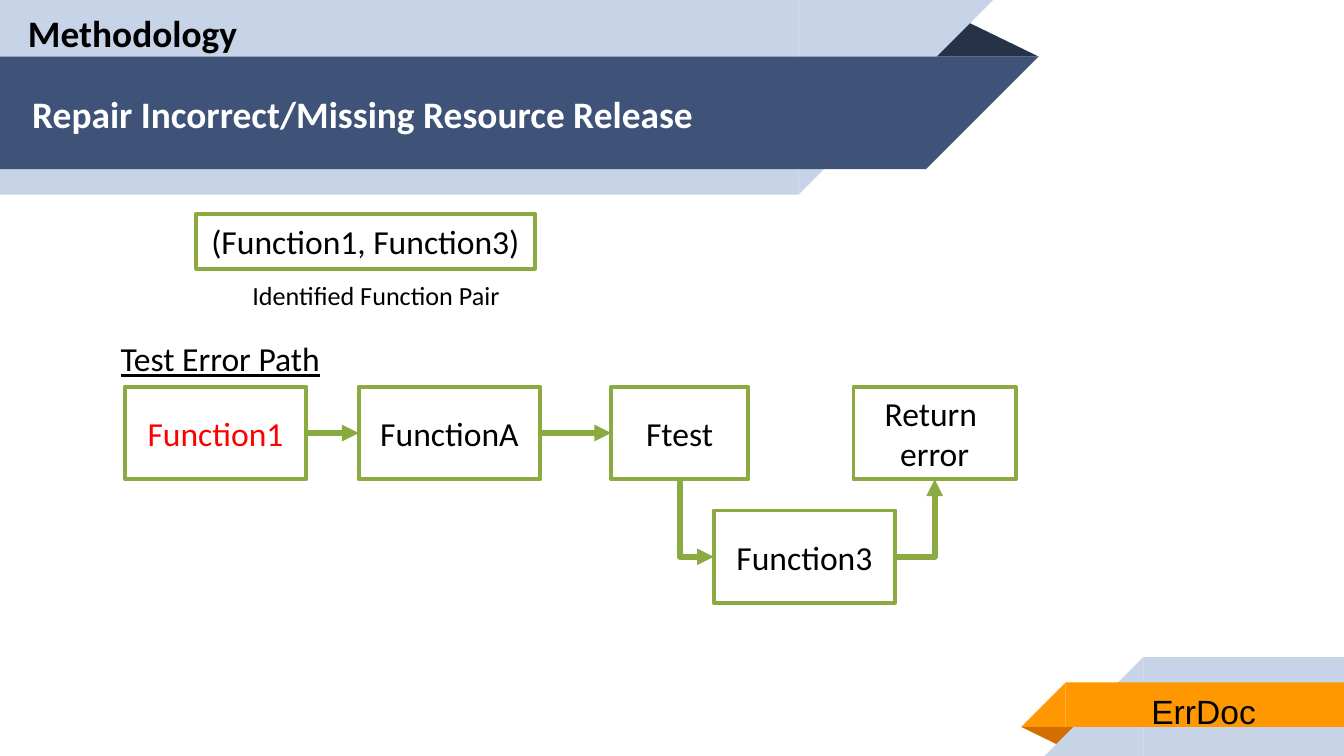
from lxml import etree
from pptx import Presentation
from pptx.dml.color import RGBColor
from pptx.enum.shapes import MSO_CONNECTOR, MSO_SHAPE
from pptx.enum.text import MSO_ANCHOR, MSO_AUTO_SIZE, PP_ALIGN
from pptx.oxml.ns import qn
from pptx.util import Cm, Pt

RECTANGLE = MSO_SHAPE.RECTANGLE
TRIANGLE = MSO_SHAPE.ISOSCELES_TRIANGLE
RIGHT_TRIANGLE = MSO_SHAPE.RIGHT_TRIANGLE
STRAIGHT = MSO_CONNECTOR.STRAIGHT
ELBOW = MSO_CONNECTOR.ELBOW
TOP, MIDDLE = MSO_ANCHOR.TOP, MSO_ANCHOR.MIDDLE
CENTER = PP_ALIGN.CENTER
FIT_SHAPE = MSO_AUTO_SIZE.SHAPE_TO_FIT_TEXT
SIDE_LEFT, SIDE_RIGHT = 1, 3

SLIDE_WIDTH, SLIDE_HEIGHT = 25.4, 14.29
PALE, NAVY, DARK_NAVY = "C7D3E6", "3F5378", "263248"
ORANGE, DARK_ORANGE = "FF9800", "D26F00"
BLACK, WHITE, RED = "000000", "FFFFFF", "FF0000"
BOX_GREEN, ARROW_GREEN = "8BAB42", "89AA3E"


def colour(hex_string):
    return RGBColor.from_string(hex_string)


def add_block(slide, kind, box, fill, rotation=0):
    block = slide.shapes.add_shape(kind, *map(Cm, box))
    block.shadow.inherit = False
    block.fill.solid()
    block.fill.fore_color.rgb = colour(fill)
    block.line.fill.background()
    block.rotation = rotation
    return block


def add_fold(slide, box, fill, rotation=0):
    fold = add_block(slide, TRIANGLE, box, fill, rotation)
    fold.adjustments[0] = 0.324


def add_right_slant(slide, box, fill):
    left, top, width, height = box
    straight = width - height
    add_block(slide, RECTANGLE, (left, top, straight, height), fill)
    add_block(slide, RIGHT_TRIANGLE, (left + straight, top, height, height), fill, 90)


def add_left_slant(slide, box, fill):
    left, top, width, height = box
    add_block(slide, RECTANGLE, (left + height, top, width - height, height), fill)
    add_block(slide, RIGHT_TRIANGLE, (left, top, height, height), fill, 270)


def style_runs(frame, size, ink, font="Calibri", bold=False, underline=False):
    for paragraph in frame.paragraphs:
        for run in paragraph.runs:
            run.font.name = font
            run.font.size = Pt(size)
            run.font.bold = bold
            run.font.underline = underline
            run.font.color.rgb = colour(ink)


def add_label(slide, box, text, size, ink=BLACK, **style):
    frame = slide.shapes.add_textbox(*map(Cm, box)).text_frame
    frame.text = text
    frame.word_wrap = False
    frame.auto_size = FIT_SHAPE
    style_runs(frame, size, ink, **style)


def add_heading(slide, box, text, ink, anchor):
    frame = slide.shapes.add_textbox(*map(Cm, box)).text_frame
    frame.text = text
    frame.word_wrap = True
    frame.vertical_anchor = anchor
    frame.margin_top = frame.margin_bottom = Cm(0.25)
    style_runs(frame, 20, ink, bold=True)


def add_step(slide, box, text, ink=BLACK):
    step = add_block(slide, RECTANGLE, box, WHITE)
    step.line.color.rgb = colour(BOX_GREEN)
    step.line.width = Pt(2)
    frame = step.text_frame
    frame.text = text
    frame.word_wrap = True
    frame.vertical_anchor = MIDDLE
    for paragraph in frame.paragraphs:
        paragraph.alignment = CENTER
    style_runs(frame, 18, ink)
    return step


def add_arrow(slide, kind, start, end, ink):
    arrow = slide.shapes.add_connector(kind, *map(int, start + end))
    arrow.line.color.rgb = colour(ink)
    arrow.line.width = Pt(3)
    etree.SubElement(arrow.line._get_or_add_ln(), qn("a:tailEnd"), type="triangle")
    etree.SubElement(arrow._element.spPr, qn("a:effectLst"))
    return arrow


def join_steps(slide, source, target):
    middle = source.top + source.height // 2
    arrow = add_arrow(slide, STRAIGHT, (source.left + source.width, middle),
                      (target.left, middle), ARROW_GREEN)
    arrow.begin_connect(source, SIDE_RIGHT)
    arrow.end_connect(target, SIDE_LEFT)


def add_corner(slide, start, end, vertical_first=False):
    if vertical_first:
        (x1, y1), (x2, y2) = start, end
        center_x, center_y = (x1 + x2) / 2, (y1 + y2) / 2
        half_width, half_height = (y2 - y1) / 2, (x2 - x1) / 2
        start = (center_x + half_width, center_y - half_height)
        end = (center_x - half_width, center_y + half_height)
    corner = add_arrow(slide, ELBOW, start, end, BOX_GREEN)
    properties = corner._element.spPr
    properties.find(qn("a:prstGeom")).set("prst", "bentConnector2")
    if vertical_first:
        properties.find(qn("a:xfrm")).set("rot", "16200000")


def add_header(slide, left, top, width, height):
    add_fold(slide, (left + width - 2.16, top + 0.36, 2.16, 0.71), DARK_NAVY)
    add_right_slant(slide, (left, top, width - 0.86, height), PALE)
    add_right_slant(slide, (left, top + 1.07, width, 2.13), NAVY)
    add_heading(slide, (left + 0.28, top - 0.05, 15.27, 2.13), "Methodology", BLACK, TOP)
    add_heading(slide, (left + 0.36, top + 1.09, 17.73, 2.13),
                "Repair Incorrect/Missing Resource Release", WHITE, MIDDLE)


def add_footer(slide, left, top, width, height):
    add_fold(slide, (left, top + 1.32, 1.09, 0.36), DARK_ORANGE, 180)
    add_left_slant(slide, (left + 0.44, top, width - 0.44, height), PALE)
    add_left_slant(slide, (left, top + 0.48, width, 0.84), ORANGE)
    add_label(slide, (left + 2.21, top + 0.51, 2.51, 1.02), "ErrDoc", 18, font="Arial")


def add_function_pair(slide, left, top, width, height):
    add_label(slide, (left + 0.81, top + height + 0.08, 5.26, 0.86),
              "Identified Function Pair", 14)
    add_step(slide, (left, top, width, height), "(Function1, Function3)")


def add_error_path(slide, left, top, width, height):
    step_height = 1.75
    path_top = top + 1.04
    add_label(slide, (left - 0.33, top, 4.42, 1.02), "Test Error Path", 18, underline=True)
    row = [
        (0, 3.43, "Function1", RED),
        (4.42, 3.43, "FunctionA", BLACK),
        (9.19, 2.59, "Ftest", BLACK),
        (width - 3.07, 3.07, "Return \nerror", BLACK),
    ]
    acquire, call, test, failure = [
        add_step(slide, (left + offset, path_top, step_width, step_height), text, ink)
        for offset, step_width, text, ink in row
    ]
    release = add_step(slide, (left + 11.13, top + height - step_height, 3.43, step_height),
                       "Function3")
    join_steps(slide, acquire, call)
    join_steps(slide, call, test)
    row_bottom = test.top + test.height
    release_middle = release.top + release.height // 2
    add_corner(slide, (test.left + test.width // 2, row_bottom),
               (release.left, release_middle), vertical_first=True)
    add_corner(slide, (release.left + release.width, release_middle),
               (failure.left + failure.width // 2, row_bottom))


def main():
    presentation = Presentation()
    presentation.slide_width = Cm(SLIDE_WIDTH)
    presentation.slide_height = Cm(SLIDE_HEIGHT)
    slide = presentation.slides.add_slide(presentation.slide_layouts[6])
    add_header(slide, 0, 0, 19.63, 3.68)
    add_footer(slide, 19.3, 12.42, 6.1, 1.87)
    add_function_pair(slide, 3.71, 4.04, 6.4, 1.04)
    add_error_path(slide, 2.36, 6.27, 16.84, 5.13)
    presentation.save("out.pptx")


if __name__ == "__main__":
    main()
